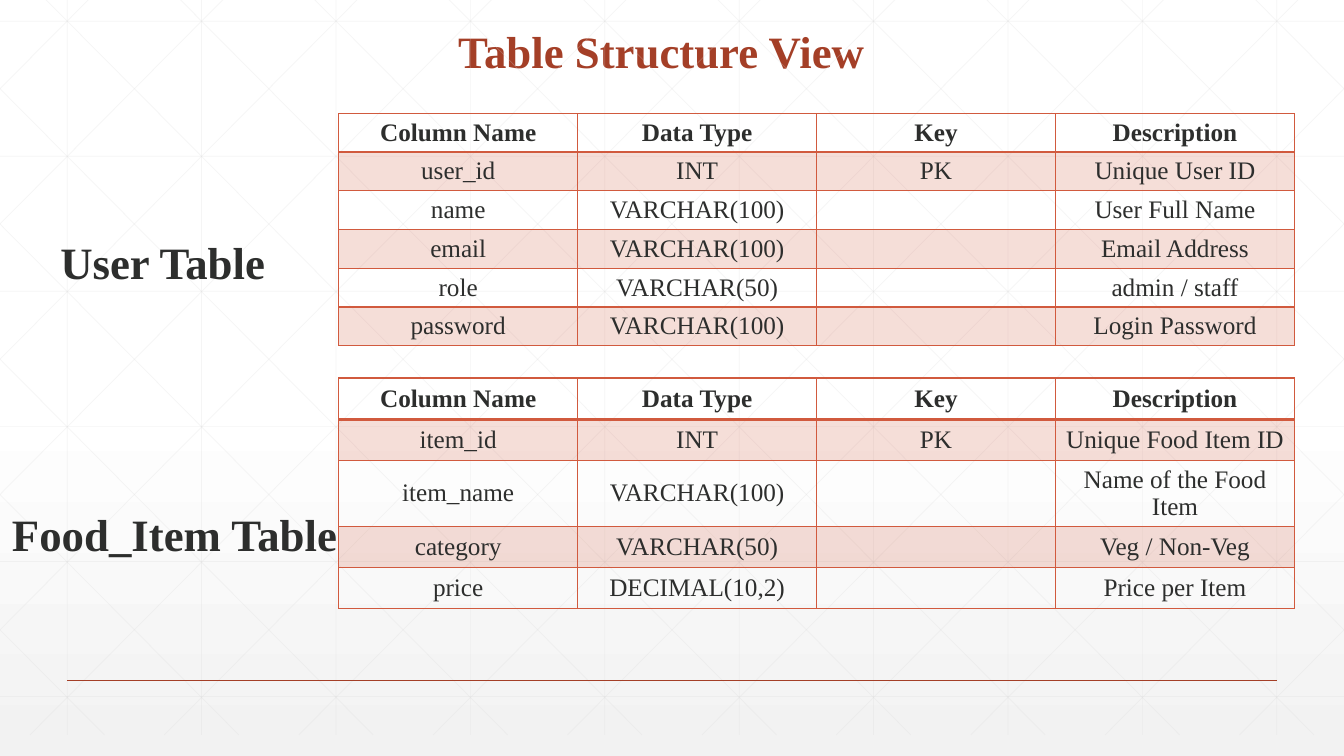
from lxml import etree
from pptx import Presentation
from pptx.dml.color import RGBColor
from pptx.enum.shapes import MSO_CONNECTOR
from pptx.enum.text import MSO_ANCHOR, MSO_AUTO_SIZE, PP_ALIGN
from pptx.oxml.ns import qn
from pptx.util import Inches, Pt

STRAIGHT = MSO_CONNECTOR.STRAIGHT
CENTER, LEFT = PP_ALIGN.CENTER, PP_ALIGN.LEFT
BOTTOM, MIDDLE = MSO_ANCHOR.BOTTOM, MSO_ANCHOR.MIDDLE
NO_FIT, GROW = MSO_AUTO_SIZE.NONE, MSO_AUTO_SIZE.SHAPE_TO_FIT_TEXT

W, H = 13.33, 7.5
FONT = "Times New Roman"
RUST, CORAL, INK, GRID = "A43F27", "D15A3E", "2D2E2D", "D9D9D9"
NO_STYLE = "{2D5ABB26-0587-4C30-8999-92F81FD0307C}"
HEADER = ("Column Name", "Data Type", "Key", "Description")
USER_ROWS = [
    HEADER,
    ("user_id", "INT", "PK", "Unique User ID"),
    ("name", "VARCHAR(100)", "", "User Full Name"),
    ("email", "VARCHAR(100)", "", "Email Address"),
    ("role", "VARCHAR(50)", "", "admin / staff"),
    ("password", "VARCHAR(100)", "", "Login Password"),
]
FOOD_ROWS = [
    HEADER,
    ("item_id", "INT", "PK", "Unique Food Item ID"),
    ("item_name", "VARCHAR(100)", "", "Name of the Food Item"),
    ("category", "VARCHAR(50)", "", "Veg / Non-Veg"),
    ("price", "DECIMAL(10,2)", "", "Price per Item"),
]


def rgb(color):
    return RGBColor.from_string(color)


def set_alpha(element, percent):
    for clr in element.iter(qn("a:srgbClr")):
        etree.SubElement(clr, qn("a:alpha")).set("val", str(percent * 1000))


def add_text(tf, text, size, color, bold, align):
    p = tf.paragraphs[0]
    p.alignment = align
    r = p.add_run()
    r.text = text
    r.font.name = FONT
    r.font.size = Pt(size)
    r.font.bold = bold
    r.font.color.rgb = rgb(color)
    return p


def add_line(slide, x1, y1, x2, y2, color, width, alpha=100):
    sp = slide.shapes.add_connector(STRAIGHT, *map(Inches, (x1, y1, x2, y2)))
    sp.line.color.rgb = rgb(color)
    sp.line.width = Pt(width)
    if alpha < 100:
        set_alpha(sp.line._get_or_add_ln(), alpha)
    etree.SubElement(sp._element.spPr, qn("a:effectLst"))


def add_background(slide):
    fill = slide.background.fill
    fill.gradient()
    fill.gradient_angle = 270
    for stop, pos, color in zip(fill.gradient_stops, (0.53, 1), ("FFFFFF", "F2F2F2")):
        stop.position = pos
        stop.color.rgb = rgb(color)


def add_lattice(slide, top, bottom):
    step = W / 10
    lines = [(step * (i + 0.5), top, step * (i + 0.5), bottom) for i in range(10)]
    lines += [(0, 0.21 + 1.34 * i, W, 0.21 + 1.34 * i) for i in range(6)]
    run = 7.45
    slope = (bottom - top) / run
    for i in range(-5, 10):
        start = 0.25 + step * i
        x1, x2 = max(start, 0), min(start + run, W)
        y1, y2 = (top + (x - start) * slope for x in (x1, x2))
        lines += [(x1, y1, x2, y2), (W - x1, y1, W - x2, y2)]
    for line in lines:
        add_line(slide, *line, GRID, 0.5, 25)


def add_title(slide, text, left, top, width, height):
    sp = slide.shapes.title
    sp.left, sp.top, sp.width, sp.height = map(Inches, (left, top, width, height))
    tf = sp.text_frame
    tf.auto_size = NO_FIT
    tf.vertical_anchor = BOTTOM
    p = add_text(tf, text, 32, RUST, True, CENTER)
    p.line_spacing = 0.9


def add_label(slide, text, left, top, width, height):
    sp = slide.shapes.add_textbox(*map(Inches, (left, top, width, height)))
    tf = sp.text_frame
    tf.word_wrap = True
    tf.auto_size = GROW
    add_text(tf, text, 32, INK, True, LEFT)


def set_borders(cell, bottom_width):
    tcPr = cell._tc.get_or_add_tcPr()
    for side, width in (("L", 1), ("R", 1), ("T", 1), ("B", bottom_width)):
        ln = etree.SubElement(tcPr, qn("a:ln" + side), w=str(Pt(width)))
        fill = etree.SubElement(ln, qn("a:solidFill"))
        etree.SubElement(fill, qn("a:srgbClr"), val=CORAL)


def format_cell(cell, text, row):
    set_borders(cell, 2 if row == 0 else 1)
    if row % 2:
        cell.fill.solid()
        cell.fill.fore_color.rgb = rgb(CORAL)
        set_alpha(cell._tc.tcPr.find(qn("a:solidFill")), 20)
    else:
        cell.fill.background()
    cell.vertical_anchor = MIDDLE
    cell.margin_top = cell.margin_bottom = Inches(0.04)
    cell.margin_left = cell.margin_right = Inches(0.08)
    if text:
        add_text(cell.text_frame, text, 18, INK, row == 0, CENTER)


def add_schema(slide, rows, left, top, width, row_heights):
    box = map(Inches, (left, top, width, sum(row_heights)))
    sp = slide.shapes.add_table(len(rows), len(HEADER), *box)
    table = sp.table
    table.first_row = table.horz_banding = False
    for style in sp._element.iter(qn("a:tableStyleId")):
        style.text = NO_STYLE
    for col in table.columns:
        col.width = Inches(width / len(HEADER))
    for i, (values, height) in enumerate(zip(rows, row_heights)):
        table.rows[i].height = Inches(height)
        for j, text in enumerate(values):
            format_cell(table.cell(i, j), text, i)


def main():
    prs = Presentation()
    prs.slide_width, prs.slide_height = Inches(W), Inches(H)
    slide = prs.slides.add_slide(prs.slide_layouts[5])
    add_background(slide)
    add_lattice(slide, -0.21, 7.29)
    add_line(slide, W * 0.05, H * 0.9, W * 0.95, H * 0.9, RUST, 1)
    add_title(slide, "Table Structure View", 1.31, -0.42, 10.5, 1.25)
    add_schema(slide, USER_ROWS, 3.36, 1.13, 9.48, [0.38] * 6)
    add_schema(slide, FOOD_ROWS, 3.36, 3.75, 9.48, [0.41, 0.41, 0.65, 0.41, 0.41])
    add_label(slide, "User Table", 0.5, 2.28, W / 2, 0.64)
    add_label(slide, "Food_Item Table", 0.02, 4.98, W / 2, 0.64)
    prs.save("out.pptx")


if __name__ == "__main__":
    main()
